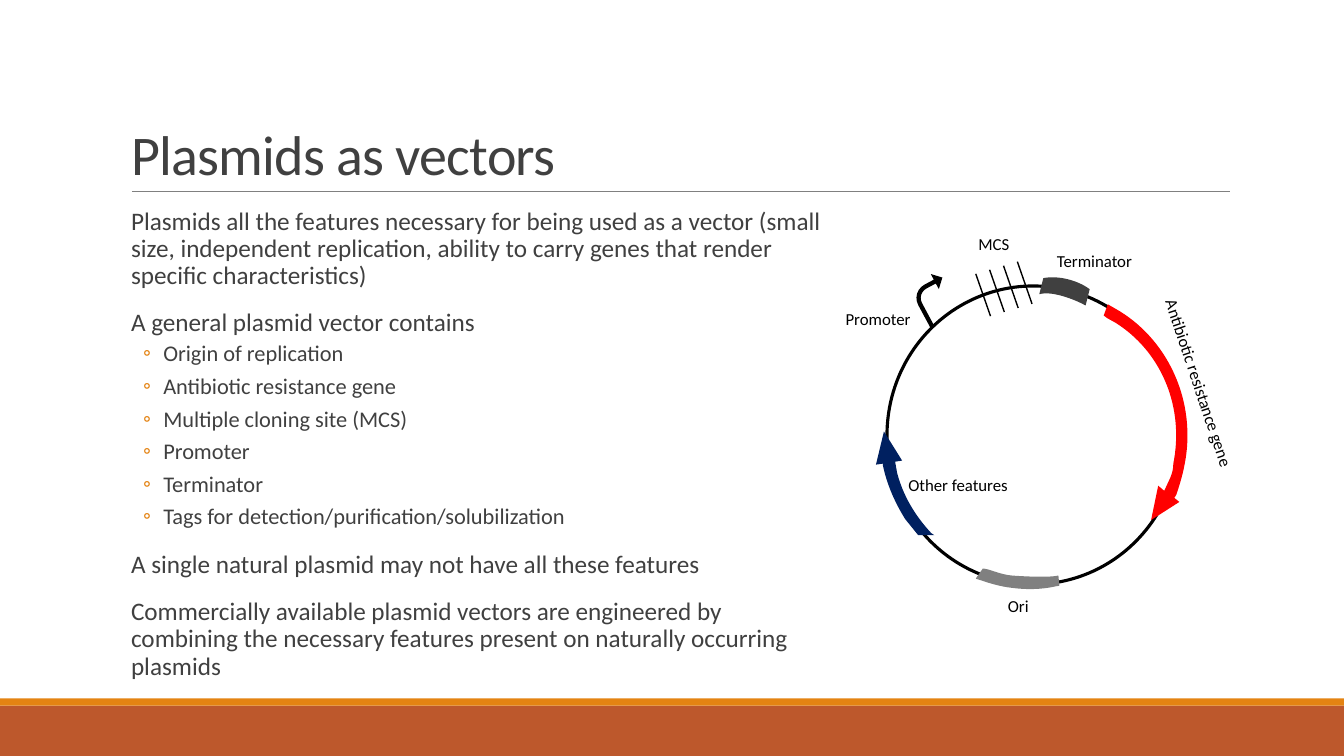
"""Builds the slide on plasmids as vectors."""
from math import cos, radians, sin
from lxml.etree import SubElement as Sub
from pptx import Presentation
from pptx.dml.color import RGBColor
from pptx.enum.shapes import MSO_CONNECTOR as Conn, MSO_SHAPE as Kind
from pptx.enum.text import MSO_ANCHOR as Anchor, MSO_AUTO_SIZE as Fit, PP_ALIGN as Align
from pptx.oxml.ns import qn
from pptx.util import Pt

BLACK = RGBColor(0x00, 0x00, 0x00)
DARK = RGBColor(0x40, 0x40, 0x40)
GRAY = RGBColor(0x80, 0x80, 0x80)
RUST = RGBColor(0xBD, 0x58, 0x2C)
AMBER = RGBColor(0xE4, 0x83, 0x12)
RED = RGBColor(0xFF, 0x00, 0x00)
NAVY = RGBColor(0x00, 0x20, 0x60)

BODY = [
    (0, "Plasmids all the features necessary for being used as a vector (small size, "
        "independent replication, ability to carry genes that render specific characteristics)"),
    (0, "A general plasmid vector contains"),
    (1, "Origin of replication"),
    (1, "Antibiotic resistance gene"),
    (1, "Multiple cloning site (MCS)"),
    (1, "Promoter"),
    (1, "Terminator"),
    (1, "Tags for detection/purification/solubilization"),
    (0, "A single natural plasmid may not have all these features"),
    (0, "Commercially available plasmid vectors are engineered by combining the necessary "
        "features present on naturally occurring plasmids"),
]

ORI = [
    (722.2, 419.8), (715, 419, 707.8, 416.9, 701.3, 414.7), (697, 413.3), (702, 406.1),
    (706.3, 406.1, 714.2, 410.4, 722.9, 411.1), (732.2, 411.8, 749.5, 412.6, 756, 411.1),
    (756.7, 418.3), (753.1, 419), (743, 421.2, 732.2, 421.2, 722.2, 419.8),
]
GENE = [
    (791.3, 217.4), (796.3, 220.3), (833.8, 241.2, 855.4, 286.6, 846, 332.6),
    (844.6, 339.8, 842.4, 347, 840.2, 353.5), (838.8, 355.7), (842.4, 358.6),
    (822.2, 371.5), (827.3, 347), (831.6, 350.6), (835.9, 341.3),
    (837.4, 337.7, 838.1, 334.8, 838.1, 331.2), (846, 291.6, 830.2, 253.4, 799.9, 232.6),
    (796.3, 229.7, 791.3, 228.2, 788.4, 225.4),
]
OTHER = [
    (631.4, 308.2), (644.4, 329), (639.4, 329.8), (640.8, 337.7),
    (645.1, 354.2, 653.8, 368.6, 665.3, 380.9), (667.4, 382.3), (655.9, 382.3),
    (646.6, 370.8), (639.4, 359.3, 633.6, 346.3, 630.7, 332.6), (630.7, 331.2), (625.7, 331.9),
]
STOP = [
    (745.2, 198.7), (756, 196.6, 769.7, 200.2, 778.3, 206.6), (775.4, 218.2),
    (769, 214.6, 751.7, 207.4, 742.3, 210.2),
]

LABELS = [
    ("Ori", 712.8, 421.9, 29.5, 0),
    ("Antibiotic resistance gene", 786.2, 263.5, 141.1, 71.5),
    ("MCS", 691.7, 163.4, 36.7, 0),
    ("Promoter", 596.9, 217, 61.2, 0),
    ("Terminator", 747.9, 175.7, 68.4, 0),
    ("Other features", 641.8, 335.5, 86.4, 0),
]


def spin(x, y, turn):
    a = radians(turn)
    return x * cos(a) - y * sin(a), x * sin(a) + y * cos(a)


class Deck:
    font = "Calibri"

    def __init__(self, wide, high):
        self.show = Presentation()
        self.show.slide_width, self.show.slide_height = Pt(wide), Pt(high)
        self.slide = self.show.slides.add_slide(self.show.slide_layouts[1])
        self.items = self.slide.shapes

    def run(self, para, text, size, color):
        run = para.add_run()
        run.text = text
        run.font.name, run.font.size = self.font, Pt(size)
        run.font.color.rgb = color
        return run

    def place(self, shape, x, y, w, h):
        shape.left, shape.top, shape.width, shape.height = Pt(x), Pt(y), Pt(w), Pt(h)
        shape.text_frame.auto_size = Fit.NONE
        return shape.text_frame

    def title(self, text, *box):
        frame = self.place(self.items.title, *box)
        frame.vertical_anchor = Anchor.BOTTOM
        para = frame.paragraphs[0]
        para.alignment, para.line_spacing = Align.LEFT, 0.85
        run = self.run(para, text, 40, DARK)
        run.font._element.set("spc", "-50")

    def body(self, rows, *box):
        frame = self.place(self.slide.placeholders[1], *box)
        frame.vertical_anchor = Anchor.TOP
        frame.margin_left = frame.margin_right = 0
        for i, (level, text) in enumerate(rows):
            para = frame.add_paragraph() if i else frame.paragraphs[0]
            para.level, para.line_spacing = level, 0.9
            before, after, left, hang, mark, size = (
                (2, 4, 30.24, 14.4, "◦", 16) if level else (12, 2, 7.2, 7.2, " ", 18))
            para.space_before, para.space_after = Pt(before), Pt(after)
            prop = para._p.get_or_add_pPr()
            prop.set("marL", str(Pt(left)))
            prop.set("indent", str(-Pt(hang)))
            Sub(Sub(prop, qn("a:buClr")), qn("a:srgbClr"), val=str(AMBER))
            Sub(prop, qn("a:buFont"), typeface=self.font)
            Sub(prop, qn("a:buChar"), char=mark)
            self.run(para, text, size, DARK)

    def paint(self, shape, fill, line=None, width=0):
        shape.shadow.inherit = False
        if fill is None:
            shape.fill.background()
        else:
            shape.fill.solid()
            shape.fill.fore_color.rgb = fill
        if line is None:
            shape.line.fill.background()
        else:
            shape.line.color.rgb, shape.line.width = line, Pt(width)
        return shape

    def shape(self, kind, x, y, w, h, fill, line=None, width=0):
        return self.paint(self.items.add_shape(kind, Pt(x), Pt(y), Pt(w), Pt(h)), fill, line, width)

    def free(self, parts, fill, turn):
        dots = [spin(*part[i:i + 2], -turn) for part in parts for i in range(0, len(part), 2)]
        dots = [(Pt(x), Pt(y)) for x, y in dots]
        pen = self.items.build_freeform(*dots[0])
        pen.add_line_segments(dots[1:], close=True)
        shape = self.paint(pen.convert_to_shape(), fill)
        legs = iter(shape._element.spPr.findall(".//" + qn("a:lnTo")))
        for part in parts[1:]:
            leg = next(legs)
            if len(part) == 6:
                leg.addprevious(curve := leg.makeelement(qn("a:cubicBezTo")))
                for node in (leg, next(legs), next(legs)):
                    curve.append(node[0])
                    node.getparent().remove(node)
        half, tall = shape.width / 2, shape.height / 2
        x, y = spin(shape.left + half, shape.top + tall, turn)
        shape.left, shape.top = int(x - half), int(y - tall)
        shape.rotation = turn

    def line(self, x, y, to_x, to_y, color, width):
        line = self.items.add_connector(Conn.STRAIGHT, Pt(x), Pt(y), Pt(to_x), Pt(to_y))
        line.line.color.rgb, line.line.width = color, Pt(width)
        Sub(line._element.spPr, qn("a:effectLst"))

    def label(self, text, x, y, w, turn):
        box = self.items.add_textbox(Pt(x), Pt(y), Pt(w), Pt(21.8))
        box.rotation = turn
        box.text_frame.word_wrap = False
        box.text_frame.auto_size = Fit.SHAPE_TO_FIT_TEXT
        self.run(box.text_frame.paragraphs[0], text, 12, BLACK)


def main():
    deck = Deck(960, 540)
    deck.shape(Kind.RECTANGLE, 0, 504, 960, 36, RUST)
    deck.shape(Kind.RECTANGLE, 0, 498.8, 960, 5.2, AMBER)
    deck.line(94.3, 136.8, 878.6, 136.8, GRAY, 0.5)
    deck.title("Plasmids as vectors", 86.4, 22.4, 792, 114.4)
    deck.body(BODY, 86.4, 145.3, 509, 345.6)
    deck.items = deck.slide.shapes.add_group_shape().shapes
    deck.shape(Kind.OVAL, 633.6, 204.3, 208.8, 213.1, None, BLACK, 2.25)
    for parts, fill, turn in ((ORI, GRAY, 187.7), (GENE, RED, 101), (OTHER, NAVY, 351)):
        deck.free(parts, fill, turn)
    arrow = deck.shape(Kind.BENT_ARROW, 655.2, 196.6, 24.5, 33.8, BLACK)
    arrow.rotation = 331.8
    for i, value in enumerate((0.126, 0.25, 0.25, 0.438)):
        arrow.adjustments[i] = value
    for i in range(4):
        x, y = 697 + 9.9 * i, 195.6 - 2.9 * i
        deck.line(x, y, x + 10.5, y + 30.2, BLACK, 1)
    deck.free(STOP, DARK, 13.3)
    deck.items = deck.slide.shapes
    for label in LABELS:
        deck.label(*label)
    deck.show.save("out.pptx")


if __name__ == "__main__":
    main()
